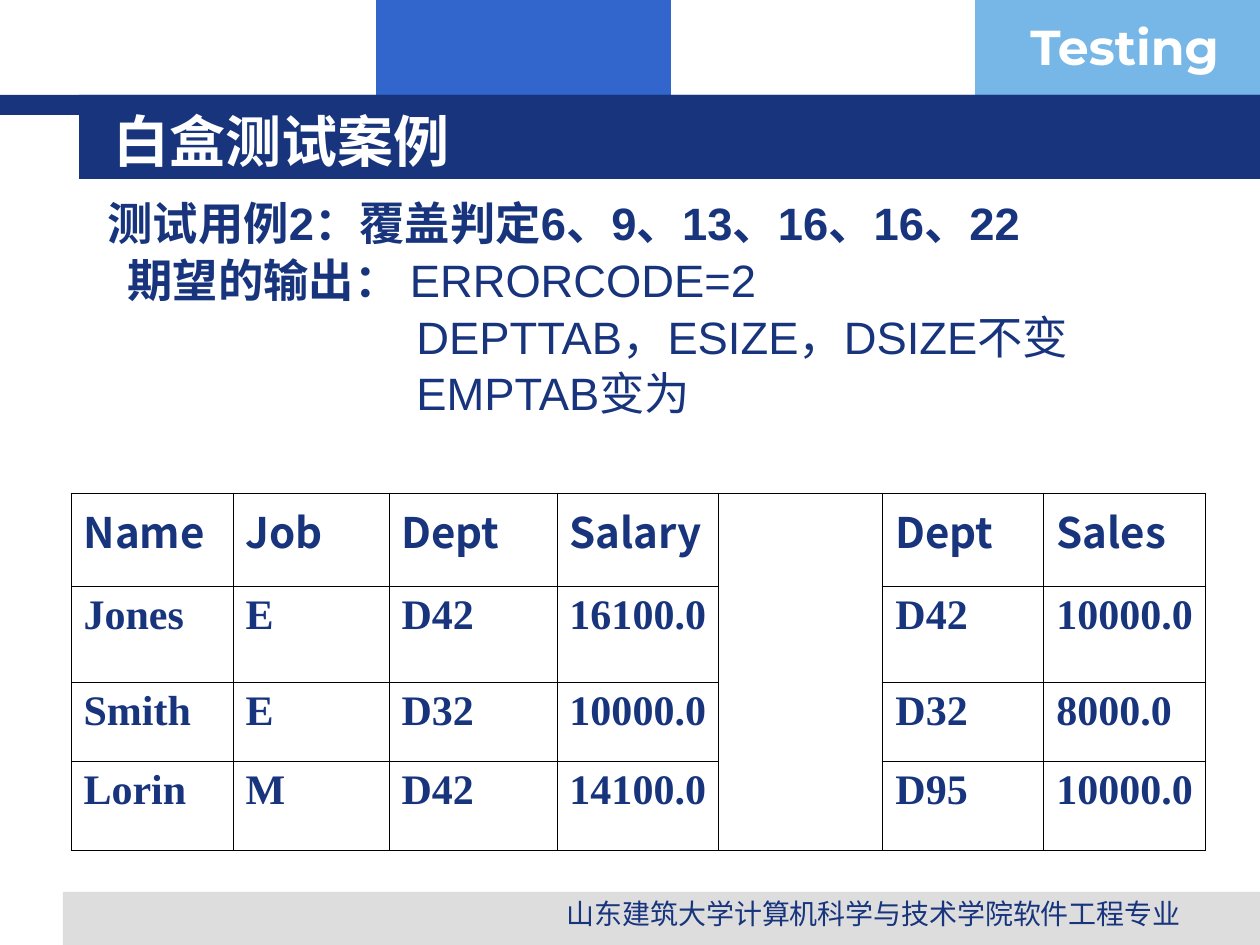
import dataclasses

import lxml.etree
import pptx
import pptx.dml.color
import pptx.enum.shapes
import pptx.enum.text
import pptx.oxml.ns
import pptx.util

PX = 914400 / 126
NAVY, WHITE, BLACK = "17347D", "FFFFFF", "000000"
CJK = "Noto Sans CJK SC"
SERIF = "Times New Roman"
ALIGN = pptx.enum.text.PP_ALIGN
ANCHOR = pptx.enum.text.MSO_ANCHOR
qn = pptx.oxml.ns.qn


@dataclasses.dataclass(frozen=True)
class Box:
    left: int
    top: int
    width: int
    height: int


@dataclasses.dataclass(frozen=True)
class Style:
    size: float
    name: str
    color: str = NAVY
    bold: bool = False


@dataclasses.dataclass(frozen=True)
class Line:
    indent: int
    runs: tuple[tuple[str, Style], ...]


HEAD = Style(24, CJK, bold=True)
DATA = Style(24, SERIF, bold=True)
BODY = Style(25.9, "Arial")
STRONG = Style(25.9, "Arial", bold=True)

BARS = (
    (Box(376, 0, 295, 116), "3366CC"),
    (Box(975, 0, 285, 116), "77B7E7"),
    (Box(63, 892, 1197, 53), "DDDDDD"),
    (Box(0, 95, 1260, 20), NAVY),
    (Box(79, 95, 1181, 84), NAVY),
)
LABELS = (
    (Box(1018, 10, 242, 72), "Testing", Style(28, "Montserrat", WHITE, True),
     ALIGN.LEFT, ANCHOR.TOP),
    (Box(512, 890, 724, 39), "山东建筑大学计算机科学与技术学院软件工程专业",
     Style(16, "Arial"), ALIGN.CENTER, ANCHOR.TOP),
    (Box(101, 101, 1075, 78), "白盒测试案例", Style(32, CJK, WHITE, True),
     ALIGN.LEFT, ANCHOR.MIDDLE),
)
LINES = (
    Line(31, (("测试用例2：覆盖判定6、9、13、16、16、22", STRONG),)),
    Line(51, (("期望的输出： ", STRONG), ("ERRORCODE=2", BODY))),
    Line(340, (("DEPTTAB，ESIZE，DSIZE不变", BODY),)),
    Line(340, (("EMPTAB变为", BODY),)),
)
COLS = (162, 156, 168, 162, 164, 161, 162)
ROWS = (93, 96, 79, 89)
GAP_COL = 4
CELLS = (
    ("Name", "Job", "Dept", "Salary", "", "Dept", "Sales"),
    ("Jones", "E", "D42", "16100.0", "", "D42", "10000.0"),
    ("Smith", "E", "D32", "10000.0", "", "D32", "8000.0"),
    ("Lorin", "M", "D42", "14100.0", "", "D95", "10000.0"),
)


def px(n: int) -> int:
    return round(n * PX)


def place(box: Box) -> list[int]:
    return [px(n) for n in dataclasses.astuple(box)]


def rgb(color: str) -> pptx.dml.color.RGBColor:
    return pptx.dml.color.RGBColor.from_string(color)


def add_run(p, text: str, style: Style) -> None:
    r = p.add_run()
    r.text = text
    font = {"size": pptx.util.Pt(style.size), "name": style.name, "bold": style.bold}
    for key, value in font.items():
        setattr(r.font, key, value)
    r.font.color.rgb = rgb(style.color)
    ea = lxml.etree.SubElement(r.font._element, qn("a:ea"))
    ea.set("typeface", CJK)


def add_bar(s, box: Box, color: str) -> None:
    sp = s.shapes.add_shape(pptx.enum.shapes.MSO_SHAPE.RECTANGLE, *place(box))
    sp.shadow.inherit = False
    sp.fill.solid()
    sp.fill.fore_color.rgb = rgb(color)
    sp.line.fill.background()


def add_text(s, box: Box, lines: tuple[Line, ...], align=ALIGN.LEFT,
             anchor=ANCHOR.TOP, spacing: float = 1.0) -> None:
    tf = s.shapes.add_textbox(*place(box)).text_frame
    tf.word_wrap = True
    tf.vertical_anchor = anchor
    for i, line in enumerate(lines):
        p = tf.add_paragraph() if i else tf.paragraphs[0]
        p.alignment = align
        p.line_spacing = spacing
        p.space_before = pptx.util.Pt(4.5 if i else 0)
        p._p.get_or_add_pPr().set("marL", str(px(line.indent)))
        for text, style in line.runs:
            add_run(p, text, style)


def add_borders(cell) -> None:
    tc_pr = cell._tc.get_or_add_tcPr()
    for side in ("lnL", "lnR", "lnT", "lnB"):
        ln = lxml.etree.SubElement(tc_pr, qn(f"a:{side}"))
        ln.set("w", str(pptx.util.Pt(0.45)))
        fill = lxml.etree.SubElement(ln, qn("a:solidFill"))
        lxml.etree.SubElement(fill, qn("a:srgbClr")).set("val", BLACK)


def add_grid(s, left: int, top: int) -> None:
    box = Box(left, top, sum(COLS), sum(ROWS))
    table = s.shapes.add_table(len(ROWS), len(COLS), *place(box)).table
    for key in ("first_row", "horz_banding"):
        setattr(table, key, False)
    for column, width in zip(table.columns, COLS):
        column.width = px(width)
    for i, (height, texts) in enumerate(zip(ROWS, CELLS)):
        table.rows[i].height = px(height)
        for j, text in enumerate(texts):
            cell = table.cell(i, j)
            add_borders(cell)
            cell.fill.background()
            if text:
                add_run(cell.text_frame.paragraphs[0], text, DATA if i else HEAD)
    table.cell(0, GAP_COL).merge(table.cell(len(ROWS) - 1, GAP_COL))


def main() -> None:
    """Build the white-box testing slide."""
    prs = pptx.Presentation()
    prs.slide_width, prs.slide_height = px(1260), px(945)
    s = prs.slides.add_slide(prs.slide_layouts[6])
    for box, color in BARS:
        add_bar(s, box, color)
    for box, text, style, align, anchor in LABELS:
        add_text(s, box, (Line(0, ((text, style),)),), align, anchor)
    add_text(s, Box(64, 195, 1142, 287), LINES, spacing=0.9)
    add_grid(s, 71, 493)
    prs.save("out.pptx")


if __name__ == "__main__":
    main()
